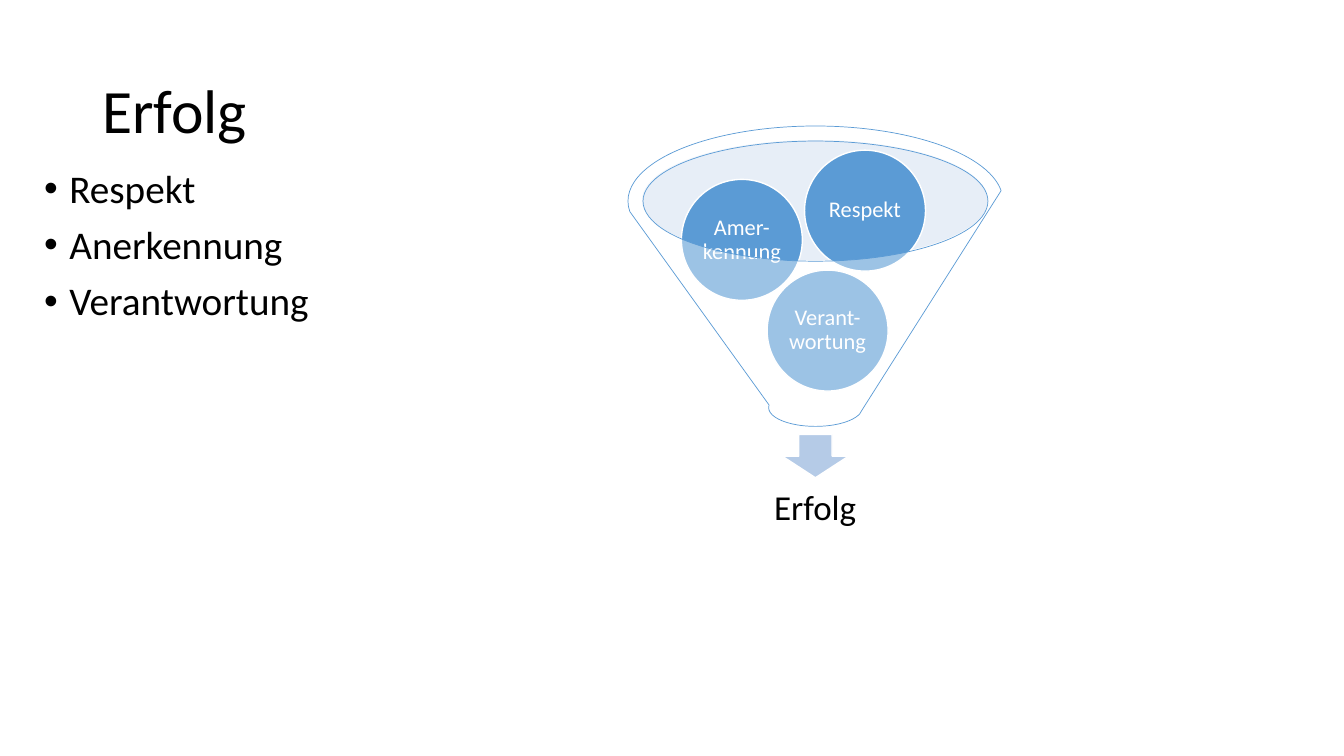
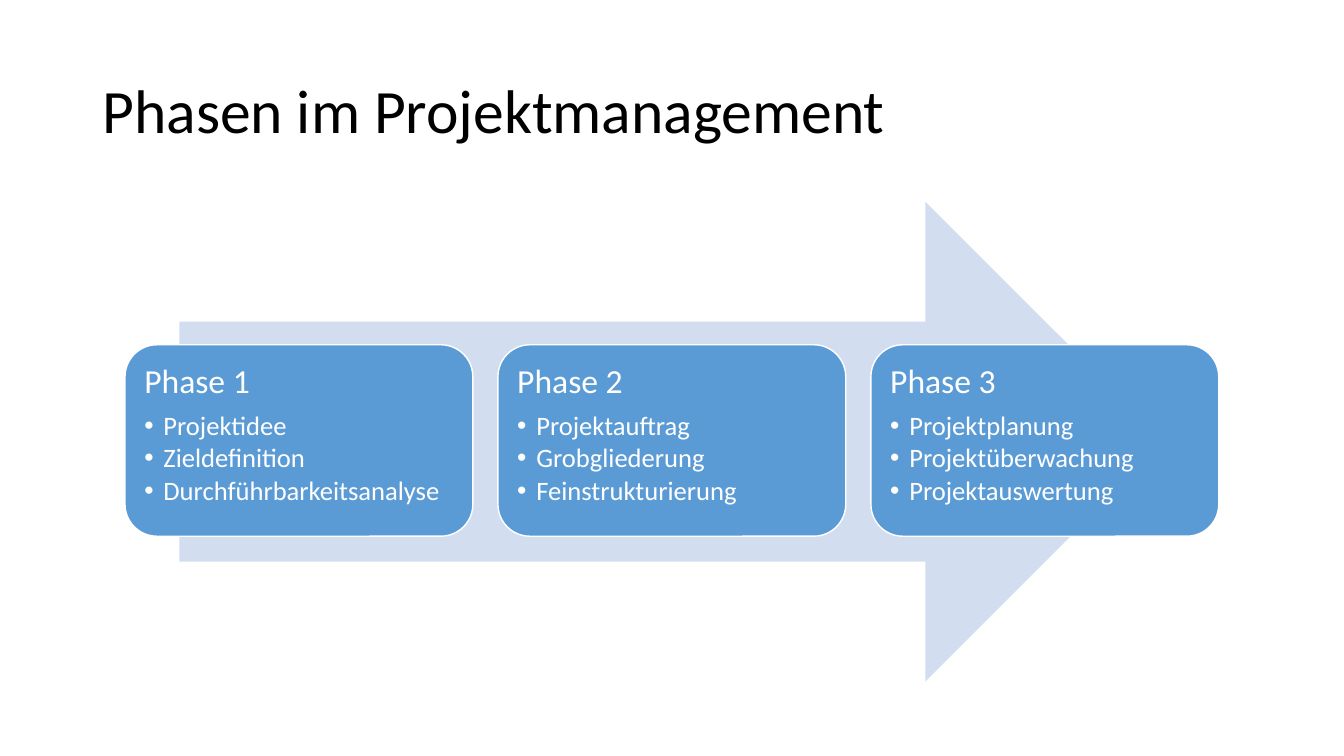
import lxml.etree
import pptx
import pptx.dml.color
import pptx.enum.shapes
import pptx.enum.text
import pptx.oxml.ns
import pptx.util

SHAPE = pptx.enum.shapes.MSO_SHAPE
ALIGN = pptx.enum.text.PP_ALIGN
ANCHOR = pptx.enum.text.MSO_ANCHOR
qn = pptx.oxml.ns.qn

# Shared style
FONT = "Calibri"
BLACK, WHITE, BLUE = "000000", "FFFFFF", "5B9BD5"
SLIDE_WIDTH, SLIDE_HEIGHT = 13.33, 7.5


def color(hex_text):
    return pptx.dml.color.RGBColor.from_string(hex_text)


def place(left, top, width, height):
    """Turn percentages of the slide's size into lengths."""
    sides = (SLIDE_WIDTH, SLIDE_HEIGHT) * 2
    return [pptx.util.Inches(side * share / 100)
            for side, share in zip(sides, (left, top, width, height))]


def set_frame(box, anchor=ANCHOR.TOP, inset=None):
    frame = box.text_frame
    frame.word_wrap = True
    frame.vertical_anchor = anchor
    if inset is not None:
        frame.margin_left = frame.margin_right = pptx.util.Inches(inset)
        frame.margin_top = frame.margin_bottom = pptx.util.Inches(inset)


def add_text(box, text, size, ink=BLACK, align=ALIGN.LEFT, before=0, after=0,
             indent=None):
    """Write one paragraph; an indent in inches makes it a bullet."""
    frame = box.text_frame
    first = not frame.text
    para = frame.paragraphs[0] if first else frame.add_paragraph()
    if indent:
        props = para._p.get_or_add_pPr()
        props.set("marL", str(pptx.util.Inches(indent)))
        props.set("indent", str(-pptx.util.Inches(indent)))
        lxml.etree.SubElement(props, qn("a:buFont"), typeface="Arial")
        lxml.etree.SubElement(props, qn("a:buChar"), char="•")
    para.alignment = align
    para.line_spacing = 0.9
    para.space_before = pptx.util.Pt(0 if first else before)
    para.space_after = pptx.util.Pt(after)
    span = para.add_run()
    span.text = text
    span.font.name = FONT
    span.font.size = pptx.util.Pt(size)
    span.font.color.rgb = color(ink)


def add_box(page, area, **frame_format):
    box = page.shapes.add_textbox(*place(*area))
    set_frame(box, **frame_format)
    return box


def add_shape(page, kind, area, fill, line=None, weight=1, opacity=None):
    shape = page.shapes.add_shape(kind, *place(*area))
    shape.shadow.inherit = False
    shape.fill.solid()
    shape.fill.fore_color.rgb = color(fill)
    if opacity is not None:
        tint = shape._element.spPr.find(qn("a:solidFill"))[0]
        lxml.etree.SubElement(tint, qn("a:alpha"), val=str(opacity * 1000))
    if line:
        shape.line.color.rgb = color(line)
        shape.line.width = pptx.util.Pt(weight)
    else:
        shape.line.fill.background()
    return shape


def add_page(deck, title):
    page = deck.slides.add_slide(deck.slide_layouts[6])
    box = add_box(page, (6.88, 5.32, 86.25, 19.33), anchor=ANCHOR.MIDDLE)
    add_text(box, title, 44)
    return page


def add_ball(page, text, left, top):
    ball = add_shape(page, SHAPE.OVAL, (left, top, 9, 16), BLUE, WHITE)
    set_frame(ball, anchor=ANCHOR.MIDDLE, inset=0.02)
    add_text(ball, text, 16, WHITE, ALIGN.CENTER)


def add_card(page, column, heading, items):
    area = (9.3 + column * 27.75, 45.6, 25.88, 25.33)
    card = add_shape(page, SHAPE.ROUNDED_RECTANGLE, area, BLUE, WHITE)
    set_frame(card, inset=0.1)
    add_text(card, heading, 24, WHITE, after=8.4)
    for item in items:
        add_text(card, item, 19, WHITE, after=2.85, indent=0.19)


def build_success(deck):
    page = add_page(deck, "Erfolg")
    body = add_box(page, (2.55, 21.73, 86.25, 63.47))
    for item in ("Respekt", "Anerkennung", "Verantwortung"):
        add_text(body, item, 28, before=10, indent=0.25)

    # Funnel, from back to front
    add_shape(page, SHAPE.OVAL, (47.78, 18.53, 25.73, 15.87), "C4D5EB",
              opacity=40)
    add_shape(page, SHAPE.DOWN_ARROW, (58.2, 57.47, 4.95, 5.73), "B5CBE7",
              WHITE)
    result = add_box(page, (48.69, 62, 23.93, 10.67), anchor=ANCHOR.MIDDLE,
                     inset=0.19)
    add_text(result, "Erfolg", 25, align=ALIGN.CENTER)
    add_ball(page, "Verant-wortung", 57.08, 35.73)
    add_ball(page, "Amer-kennung", 50.7, 23.73)
    add_ball(page, "Respekt", 59.86, 19.87)
    add_shape(page, SHAPE.FUNNEL, (46.73, 16.67, 27.9, 39.73), WHITE, BLUE,
              weight=0.5, opacity=40)


def build_phases(deck):
    page = add_page(deck, "Phasen im Projektmanagement")
    add_shape(page, SHAPE.RIGHT_ARROW, (13.35, 26.67, 73.36, 63.47), "D2DEEF")
    phases = (
        ("Projektidee", "Zieldefinition", "Durchführbarkeitsanalyse"),
        ("Projektauftrag", "Grobgliederung", "Feinstrukturierung"),
        ("Projektplanung", "Projektüberwachung", "Projektauswertung"),
    )
    for column, items in enumerate(phases):
        add_card(page, column, f"Phase {column + 1}", items)


def main():
    deck = pptx.Presentation()
    deck.slide_width = pptx.util.Inches(SLIDE_WIDTH)
    deck.slide_height = pptx.util.Inches(SLIDE_HEIGHT)
    build_success(deck)
    build_phases(deck)
    deck.save("out.pptx")


if __name__ == "__main__":
    main()
